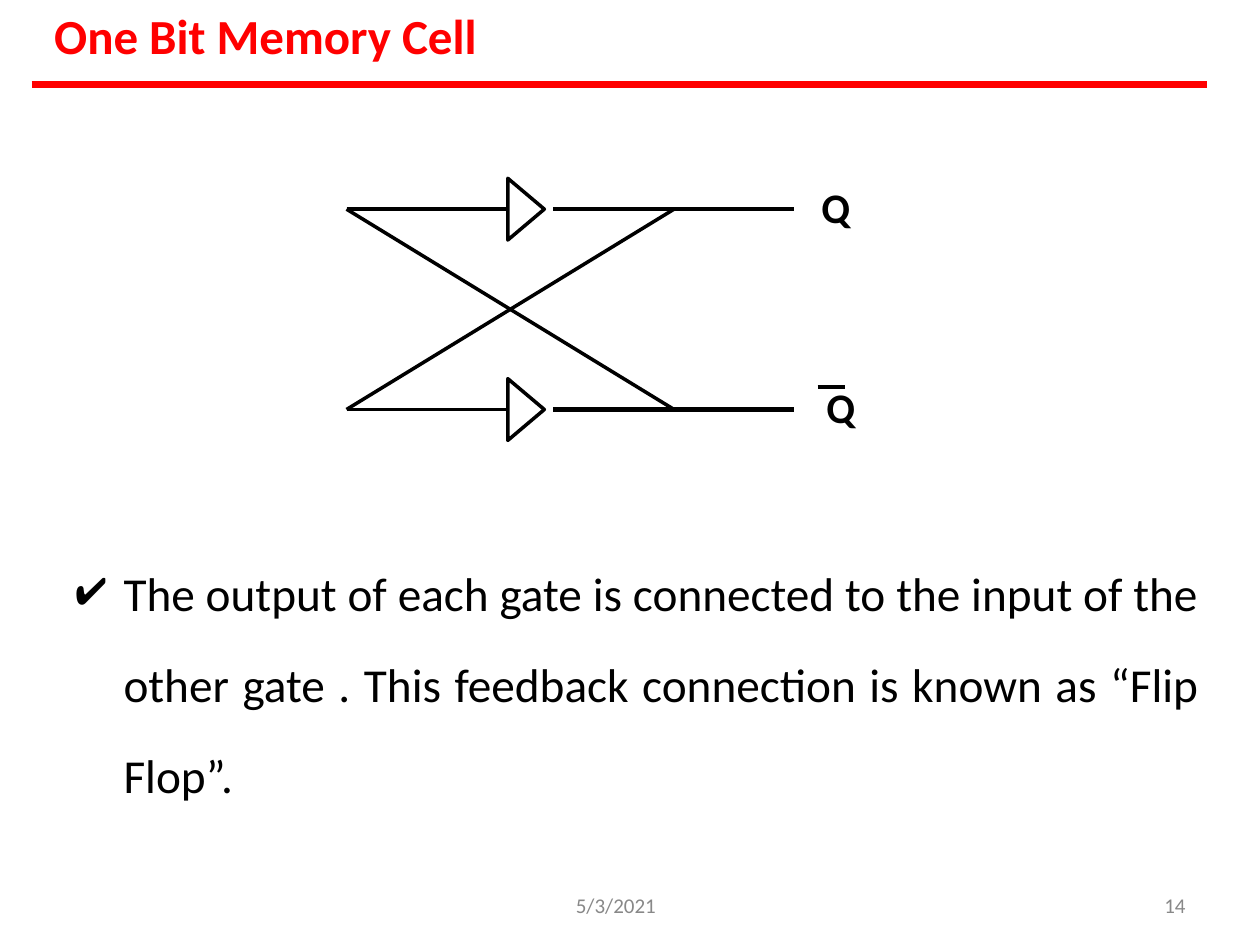
from dataclasses import dataclass

from lxml import etree
from pptx import Presentation
from pptx.dml.color import RGBColor
from pptx.enum.shapes import MSO_CONNECTOR
from pptx.enum.text import MSO_ANCHOR as Anchor, PP_ALIGN as Align
from pptx.oxml.ns import qn
from pptx.util import Inches, Pt

RED, BLACK, GRAY = "FF0000", "000000", "888888"


@dataclass
class Wire:
    start: tuple[float, float]
    end: tuple[float, float]
    width: float = 2
    color: str = BLACK


@dataclass
class Label:
    text: str
    box: tuple[float, float, float, float]
    size: float
    color: str = BLACK
    bold: bool = False


def rgb(color: str) -> RGBColor:
    return RGBColor.from_string(color)


def draw_wire(slide, wire: Wire) -> None:
    points = [Inches(value) for value in (*wire.start, *wire.end)]
    connector = slide.shapes.add_connector(MSO_CONNECTOR.STRAIGHT, *points)
    connector.line.color.rgb = rgb(wire.color)
    connector.line.width = Pt(wire.width)
    properties = connector._element.spPr
    etree.SubElement(properties, qn("a:effectLst"))


def draw_gate(slide, left: float, middle: float) -> None:
    width, half_height = 0.29, 0.245
    builder = slide.shapes.build_freeform(
        Inches(left), Inches(middle - half_height))
    builder.add_line_segments([
        (Inches(left + width), Inches(middle)),
        (Inches(left), Inches(middle + half_height)),
    ], close=True)
    gate = builder.convert_to_shape()
    gate.shadow.inherit = False
    gate.fill.background()
    gate.line.color.rgb = rgb(BLACK)
    gate.line.width = Pt(2)


def write_label(shape, label: Label):
    """Place the shape, fill it with the label and return its paragraph."""
    shape.left, shape.top, shape.width, shape.height = map(Inches, label.box)
    frame = shape.text_frame
    frame.word_wrap = True
    frame.vertical_anchor = Anchor.TOP
    frame.margin_left = frame.margin_right = frame.margin_bottom = 0
    frame.margin_top = Inches(0.01)
    paragraph = frame.paragraphs[0]
    paragraph.alignment = Align.LEFT
    run = paragraph.add_run()
    run.text = label.text
    run.font.name = "Calibri"
    run.font.size = Pt(label.size)
    run.font.bold = label.bold
    run.font.color.rgb = rgb(label.color)
    return paragraph


def add_label(slide, label: Label):
    return write_label(
        slide.shapes.add_textbox(*map(Inches, label.box)), label)


def add_check_bullet(paragraph) -> None:
    properties = paragraph._p.get_or_add_pPr()
    properties.set("marL", str(Inches(0.39)))
    properties.set("indent", str(Inches(-0.38)))
    color = etree.SubElement(properties, qn("a:buClr"))
    etree.SubElement(color, qn("a:srgbClr")).set("val", BLACK)
    etree.SubElement(properties, qn("a:buChar")).set("char", "✔")


def main() -> None:
    presentation = Presentation()
    presentation.slide_width, presentation.slide_height = Inches(10), Inches(7.5)
    slide = presentation.slides.add_slide(presentation.slide_layouts[5])

    # Title and rule
    write_label(slide.shapes.title, Label(
        "One Bit Memory Cell", (0.43, 0.03, 3.4, 0.5), 28, RED, True))
    draw_wire(slide, Wire((0.25, 0.67), (9.58, 0.67), 4, RED))

    # Two gates with their input and output wires
    input_x, gate_x, output_x, tap_x, end_x = 2.75, 4.03, 4.39, 5.35, 6.3
    upper, lower = 1.66, 3.25
    for level in (upper, lower):
        draw_gate(slide, gate_x, level)
        draw_wire(slide, Wire((input_x, level), (gate_x, level)))
        draw_wire(slide, Wire((output_x, level), (end_x, level), 2.5))

    # Crossed feedback
    for start, end in ((lower, upper), (upper, lower)):
        draw_wire(slide, Wire((input_x, start), (tap_x, end)))

    # Outputs Q and Q-bar
    for left, level in ((6.52, upper), (6.56, lower)):
        add_label(slide, Label(
            "Q", (left, level - 0.23, 0.26, 0.43), 24, bold=True))
    draw_wire(slide, Wire((6.49, 3.07), (6.71, 3.07), 2.5))

    # Explanation
    explanation = add_label(slide, Label(
        "The output of each gate is connected to the input of the other gate ."
        " This feedback connection is known as “Flip Flop”.",
        (0.59, 4.2, 8.92, 2.2), 27))
    explanation.alignment = Align.JUSTIFY
    explanation.line_spacing = 1.6
    add_check_bullet(explanation)

    # Footer
    add_label(slide, Label("5/3/2021", (4.57, 7.07, 0.88, 0.19), 12, GRAY))
    add_label(slide, Label("14", (9.24, 7.07, 0.22, 0.19), 12, GRAY))

    presentation.save("out.pptx")


if __name__ == "__main__":
    main()
